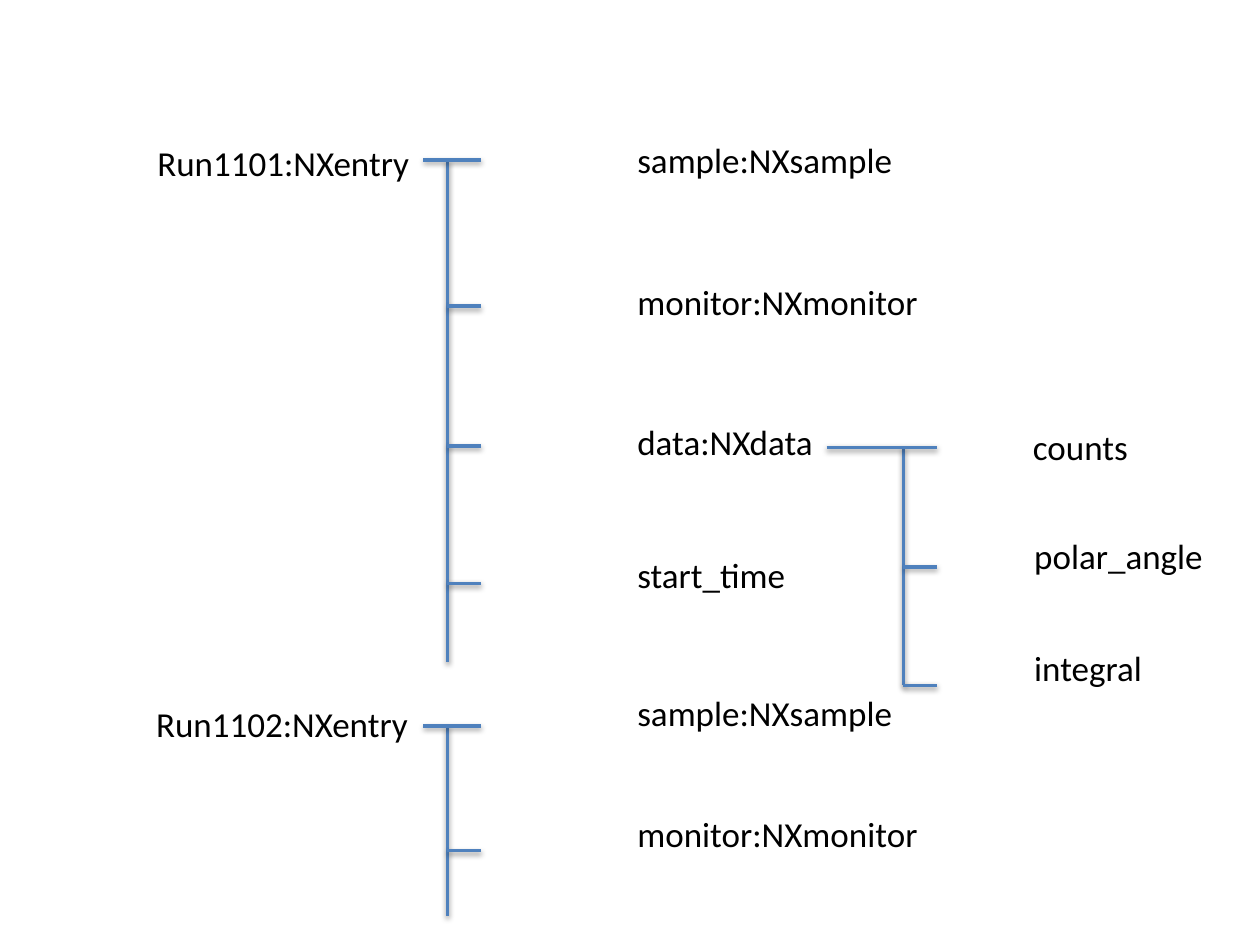
import pptx
import pptx.util
import pptx.dml.color
import pptx.enum.shapes
import pptx.enum.text
import pptx.oxml
import pptx.oxml.ns

Inches, Pt = pptx.util.Inches, pptx.util.Pt
RGB = pptx.dml.color.RGBColor.from_string

THEME = {"font": "Calibri", "size": 20, "text": "000000",
         "line": "4F81BD", "width": 2, "shadow": "000000"}
LABEL_H = 0.44

# Labels: text, left, top, width
LABELS = [
    ("Run1101:NXentry", 1.15, 1.07, 2.22),
    ("Run1102:NXentry", 1.14, 5.53, 2.22),
    ("sample:NXsample", 4.96, 1.05, 2.24),
    ("monitor:NXmonitor", 4.96, 2.18, 2.45),
    ("data:NXdata", 4.96, 3.29, 1.61),
    ("start_time", 4.96, 4.34, 1.38),
    ("sample:NXsample", 4.96, 5.44, 2.24),
    ("monitor:NXmonitor", 4.96, 6.4, 2.45),
    ("counts", 8.1, 3.33, 0.96),
    ("polar_angle", 8.11, 4.19, 1.55),
    ("integral", 8.11, 5.08, 1.06),
]

# Brackets: the first branch starts at the parent, the others at the trunk
BRACKETS = [
    {"parent": 3.36, "trunk": 3.55, "end": 3.82, "bottom": 5.25,
     "branches": [1.27, 2.43, 3.54, 4.63]},
    {"parent": 3.36, "trunk": 3.55, "end": 3.82, "bottom": 7.27,
     "branches": [5.76, 6.75]},
    {"parent": 6.56, "trunk": 7.17, "end": 7.44, "bottom": 5.44,
     "branches": [3.55, 4.5, 5.44]},
]

SHADOW_XML = (
    f'<a:effectLst {pptx.oxml.ns.nsdecls("a")}>'
    f'<a:outerShdw blurRad="{Pt(3.1)}" dist="{Pt(1.6)}" dir="5400000" rotWithShape="0">'
    f'<a:srgbClr val="{THEME["shadow"]}"><a:alpha val="38000"/></a:srgbClr>'
    '</a:outerShdw></a:effectLst>')


def add_label(slide, text, left, top, width):
    sp = slide.shapes.add_textbox(*map(Inches, (left, top, width, LABEL_H)))
    tf = sp.text_frame
    tf.word_wrap = False
    tf.auto_size = pptx.enum.text.MSO_AUTO_SIZE.SHAPE_TO_FIT_TEXT
    p = tf.paragraphs[0]
    p.text = text
    p.font.name = THEME["font"]
    p.font.size = Pt(THEME["size"])
    p.font.color.rgb = RGB(THEME["text"])


def add_line(slide, x1, y1, x2, y2):
    sp = slide.shapes.add_connector(
        pptx.enum.shapes.MSO_CONNECTOR.STRAIGHT, *map(Inches, (x1, y1, x2, y2)))
    sp.line.color.rgb = RGB(THEME["line"])
    sp.line.width = Pt(THEME["width"])
    sp._element.spPr.append(pptx.oxml.parse_xml(SHADOW_XML))


def add_bracket(slide, parent, trunk, end, bottom, branches):
    add_line(slide, trunk, branches[0], trunk, bottom)
    for i, y in enumerate(branches):
        add_line(slide, trunk if i else parent, y, end, y)


def main():
    prs = pptx.Presentation()
    prs.slide_width, prs.slide_height = Inches(10), Inches(7.5)
    s = prs.slides.add_slide(prs.slide_layouts[6])

    # Tree nodes
    for label in LABELS:
        add_label(s, *label)

    # Tree lines
    for bracket in BRACKETS:
        add_bracket(s, **bracket)

    prs.save("out.pptx")


if __name__ == "__main__":
    main()
